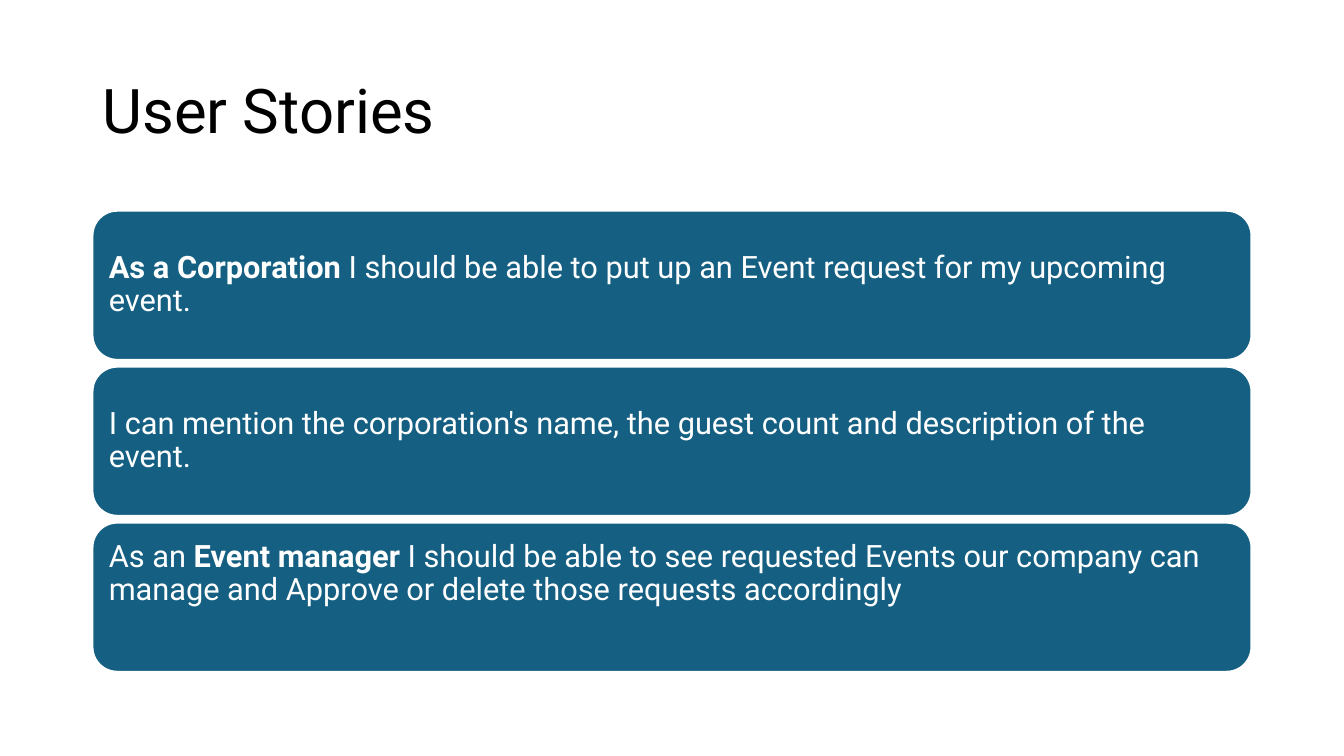
import pptx
import pptx.dml.color
import pptx.enum.shapes
import pptx.enum.text
import pptx.util

Cm = pptx.util.Cm
Pt = pptx.util.Pt
RGBColor = pptx.dml.color.RGBColor

BLACK = RGBColor(0x00, 0x00, 0x00)
WHITE = RGBColor(0xFF, 0xFF, 0xFF)
TEAL = RGBColor(0x15, 0x60, 0x82)
FONT = "Roboto"

LEFT, WIDTH = Cm(2.33), Cm(29.21)
CARD_GAP = Cm(0.17)
CARD_INSET = Cm(0.23)
RAISED_INSET = Cm(1.38)

STORIES = [
    ([("As a Corporation ", True),
      ("I should be able to put up an Event request for my upcoming event.", False)],
     CARD_INSET),
    ([("I can mention the corporation's name, the guest count and description of the event.", False)],
     CARD_INSET),
    ([("As an ", False),
      ("Event manager ", True),
      ("I should be able to see requested Events our company can manage "
       "and Approve or delete those requests accordingly", False)],
     RAISED_INSET),
]


def format_paragraph(paragraph, size, color):
    paragraph.alignment = pptx.enum.text.PP_ALIGN.LEFT
    paragraph.line_spacing = 0.9
    paragraph.font.name = FONT
    paragraph.font.size = Pt(size)
    paragraph.font.color.rgb = color


def add_title(slide, text, left, top, width, height):
    title = slide.shapes.title
    title.left, title.top, title.width, title.height = left, top, width, height
    frame = title.text_frame
    frame.text = text
    frame.auto_size = pptx.enum.text.MSO_AUTO_SIZE.NONE
    frame.vertical_anchor = pptx.enum.text.MSO_ANCHOR.MIDDLE
    format_paragraph(frame.paragraphs[0], 44, BLACK)


def add_card(slide, runs, bottom_inset, left, top, width, height):
    card = slide.shapes.add_shape(
        pptx.enum.shapes.MSO_SHAPE.ROUNDED_RECTANGLE, left, top, width, height)
    card.shadow.inherit = False
    card.fill.solid()
    card.fill.fore_color.rgb = TEAL
    card.line.color.rgb = WHITE
    card.line.width = Pt(1.5)
    frame = card.text_frame
    frame.word_wrap = True
    frame.vertical_anchor = pptx.enum.text.MSO_ANCHOR.MIDDLE
    frame.margin_left = frame.margin_right = frame.margin_top = CARD_INSET
    frame.margin_bottom = bottom_inset
    paragraph = frame.paragraphs[0]
    format_paragraph(paragraph, 22, WHITE)
    for text, bold in runs:
        run = paragraph.add_run()
        run.text = text
        run.font.bold = bold


def add_stories(slide, stories, left, top, width, height):
    card_height = (height - CARD_GAP * (len(stories) - 1)) // len(stories)
    for index, (runs, bottom_inset) in enumerate(stories):
        card_top = top + index * (card_height + CARD_GAP)
        add_card(slide, runs, bottom_inset, left, card_top, width, card_height)


def main():
    presentation = pptx.Presentation()
    presentation.slide_width = Cm(33.87)
    presentation.slide_height = Cm(19.05)
    slide = presentation.slides.add_slide(presentation.slide_layouts.get_by_name("Title Only"))
    add_title(slide, "User Stories", LEFT, Cm(1.01), WIDTH, Cm(3.68))
    add_stories(slide, STORIES, LEFT, Cm(5.31), WIDTH, Cm(11.62))
    presentation.save("out.pptx")


if __name__ == "__main__":
    main()
